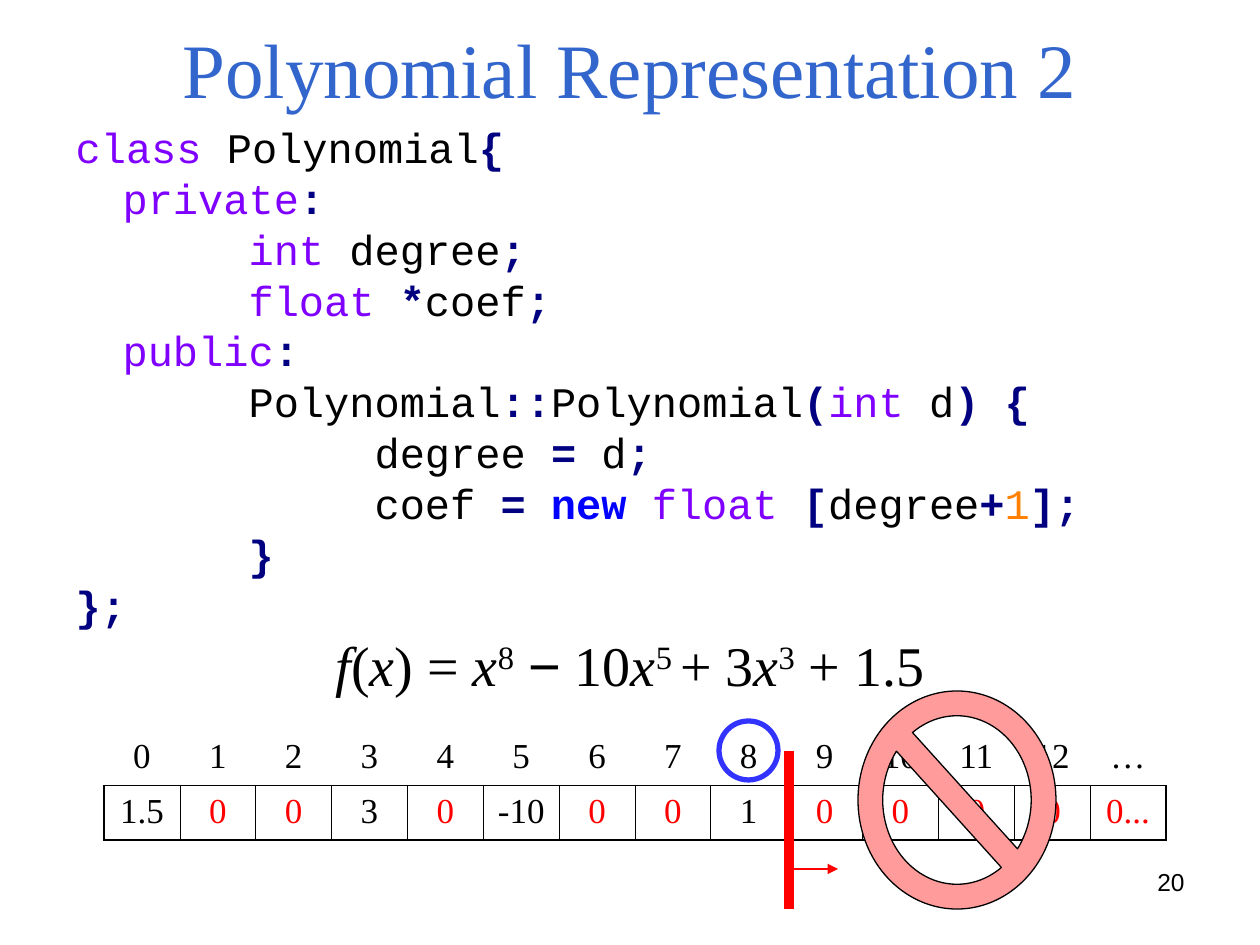
from lxml.etree import SubElement
from pptx import Presentation
from pptx.dml.color import RGBColor
from pptx.enum.shapes import MSO_CONNECTOR, MSO_SHAPE
from pptx.enum.text import MSO_ANCHOR, MSO_AUTO_SIZE, PP_ALIGN
from pptx.oxml.ns import qn
from pptx.util import Emu, Pt

COLORS = {
    "title": "3366CC", "plain": "000000", "type": "8000FF", "symbol": "000080",
    "keyword": "0000FF", "number": "FF8000", "zero": "FF0000", "limit": "FF0000",
    "ring": "3333FF", "ban": "FF9B9B",
}
BOLD_KINDS = ("symbol", "keyword")
SERIF, MONO, SANS = "Times New Roman", "Courier New", "Arial"

CODE = [
    [("class", "type"), (" Polynomial", "plain"), ("{", "symbol")],
    [("\t", "plain"), ("private", "type"), (":", "symbol")],
    [("\t\t", "plain"), ("int", "type"), (" degree", "plain"), (";", "symbol")],
    [("\t\t", "plain"), ("float ", "type"), ("*", "symbol"), ("coef", "plain"), (";", "symbol")],
    [("\t", "plain"), ("public", "type"), (":", "symbol")],
    [("\t\tPolynomial", "plain"), ("::", "symbol"), ("Polynomial", "plain"), ("(", "symbol"),
     ("int", "type"), (" d", "plain"), (")\t{", "symbol")],
    [("\t\t\tdegree ", "plain"), ("=", "symbol"), (" d", "plain"), (";", "symbol")],
    [("\t\t\tcoef ", "plain"), ("= ", "symbol"), ("new ", "keyword"), ("float ", "type"),
     ("[", "symbol"), ("degree", "plain"), ("+", "symbol"), ("1", "number"), ("];", "symbol")],
    [("\t\t", "plain"), ("}", "symbol")],
    [("};", "symbol")],
]
FORMULA = [
    ("f", "variable"), ("(", "text"), ("x", "variable"), (") = ", "text"),
    ("x", "variable"), ("8", "power"), (" ", "text"), ("−", "minus"), (" 10", "text"),
    ("x", "variable"), ("5 ", "power"), ("+ 3", "text"),
    ("x", "variable"), ("3", "power"), (" + 1.5", "text"),
]
EXPONENTS = [str(n) for n in range(13)] + ["…"]
COEFFICIENTS = ["1.5", "0", "0", "3", "0", "-10", "0", "0", "1", "0", "0", "0", "0", "0..."]


def px(length):
    """Turn pixels into EMU."""
    return Emu(round(length * 914400 / 126))


def rgb(name):
    """Look up a named colour."""
    return RGBColor.from_string(COLORS[name])


def place(part, left, top, width, height):
    """Move and size a part of the slide."""
    part.left, part.top, part.width, part.height = map(px, (left, top, width, height))


def add_run(paragraph, text, font, size, color="plain", bold=False, italic=False):
    """Add one formatted run."""
    run = paragraph.add_run()
    run.text = text
    run.font.name, run.font.size = font, Pt(size)
    run.font.bold, run.font.italic = bold, italic
    run.font.color.rgb = rgb(color)
    return run


def add_body_line(frame, index, space):
    """Add a hanging body paragraph with a tab stop at every inch."""
    paragraph = frame.paragraphs[0] if index == 0 else frame.add_paragraph()
    properties = paragraph._p.get_or_add_pPr()
    properties.set("marL", str(px(47)))
    properties.set("indent", str(px(-47)))
    properties.set("defTabSz", str(px(126)))
    SubElement(properties, qn("a:buNone"))
    stops = SubElement(properties, qn("a:tabLst"))
    for inch in range(8):
        SubElement(stops, qn("a:tab"), pos=str(px(126 * inch)), algn="l")
    paragraph.line_spacing = 0.8
    paragraph.space_before = Pt(space if index else 0)
    return paragraph


def fill_title(title):
    """Write the slide title."""
    place(title, 63, 0, 1134, 135)
    frame = title.text_frame
    frame.auto_size = MSO_AUTO_SIZE.NONE
    frame.vertical_anchor = MSO_ANCHOR.MIDDLE
    heading = frame.paragraphs[0]
    heading.alignment = PP_ALIGN.CENTER
    add_run(heading, "Polynomial Representation 2", SERIF, 44, "title")


def fill_body(body):
    """Write the class listing and the formula below it."""
    place(body, 63, 125, 1134, 719)
    frame = body.text_frame
    frame.auto_size = MSO_AUTO_SIZE.NONE
    for index, tokens in enumerate(CODE):
        line = add_body_line(frame, index, 6)
        for text, kind in tokens:
            add_run(line, text, MONO, 24, kind, bold=kind in BOLD_KINDS)
    formula = add_body_line(frame, len(CODE), 8)
    formula.alignment = PP_ALIGN.CENTER
    for text, kind in FORMULA:
        run = add_run(formula, text, SANS if kind == "minus" else SERIF, 32,
                      italic=kind == "variable")
        if kind == "power":
            run.font._element.set("baseline", "30000")


def set_borders(cell, widths):
    """Draw the left, right, top and bottom borders, where 0 means none."""
    properties = cell._tc.get_or_add_tcPr()
    for index, (side, width) in enumerate(zip("LRTB", widths)):
        border = properties.makeelement(qn(f"a:ln{side}"), {"w": str(Pt(width))})
        properties.insert(index, border)
        if width:
            fill = SubElement(border, qn("a:solidFill"))
            SubElement(fill, qn("a:srgbClr"), val=COLORS["plain"])
        else:
            SubElement(border, qn("a:noFill"))


def add_coefficient_table(slide):
    """Add the exponents with their stored coefficients."""
    count, thin, thick = len(EXPONENTS), 0.45, 1.08
    box = map(px, (104, 731, 1062, 109))
    table = slide.shapes.add_table(2, count, *box).table
    table.first_row = table.horz_banding = False
    for row, values in enumerate((EXPONENTS, COEFFICIENTS)):
        for position, value in enumerate(values):
            cell = table.cell(row, position)
            cell.fill.background()
            left = thick if position == 0 else thin
            right = thick if position == count - 1 else thin
            set_borders(cell, (left, right, thin, thick) if row else (0, 0, 0, thin))
            entry = cell.text_frame.paragraphs[0]
            entry.alignment = PP_ALIGN.CENTER
            unused = row == 1 and value.rstrip(".") == "0"
            add_run(entry, value, SERIF, 20, "zero" if unused else "plain")


def add_line(slide, start, end, width, arrow=False):
    """Add a straight red line, with an arrowhead if asked."""
    line = slide.shapes.add_connector(MSO_CONNECTOR.STRAIGHT, *map(px, start + end))
    line.line.color.rgb = rgb("limit")
    line.line.width = Pt(width)
    if arrow:
        SubElement(line.line._get_or_add_ln(), qn("a:tailEnd"), type="triangle")
    SubElement(line._element.spPr, qn("a:effectLst"))


def add_mark(slide, preset, box, line_color, line_width, fill=None):
    """Add an outlined mark over the table."""
    mark = slide.shapes.add_shape(preset, *map(px, box))
    mark.shadow.inherit = False
    if fill:
        mark.fill.solid()
        mark.fill.fore_color.rgb = rgb(fill)
    else:
        mark.fill.background()
    mark.line.color.rgb = rgb(line_color)
    mark.line.width = Pt(line_width)
    return mark


def add_page_number(slide):
    """Add the page number at the lower right."""
    frame = slide.shapes.add_textbox(*map(px, (903, 861, 294, 66))).text_frame
    frame.word_wrap = True
    number = frame.paragraphs[0]
    number.alignment = PP_ALIGN.RIGHT
    add_run(number, "20", SANS, 14)


def main():
    """Build the slide and save it."""
    deck = Presentation()
    deck.slide_width, deck.slide_height = px(1260), px(945)
    slide = deck.slides.add_slide(deck.slide_layouts[1])
    add_page_number(slide)
    fill_title(slide.shapes.title)
    fill_body(slide.placeholders[1])
    add_coefficient_table(slide)
    add_line(slide, (789, 909), (789, 751), 6)
    ban = add_mark(slide, MSO_SHAPE.NO_SYMBOL, (858, 691, 198, 218), "plain", 0.75, "ban")
    ban.adjustments[0] = 0.125
    add_line(slide, (789, 869), (838, 869), 0.75, arrow=True)
    add_mark(slide, MSO_SHAPE.OVAL, (719, 721, 59, 59), "ring", 3)
    deck.save("out.pptx")


if __name__ == "__main__":
    main()
